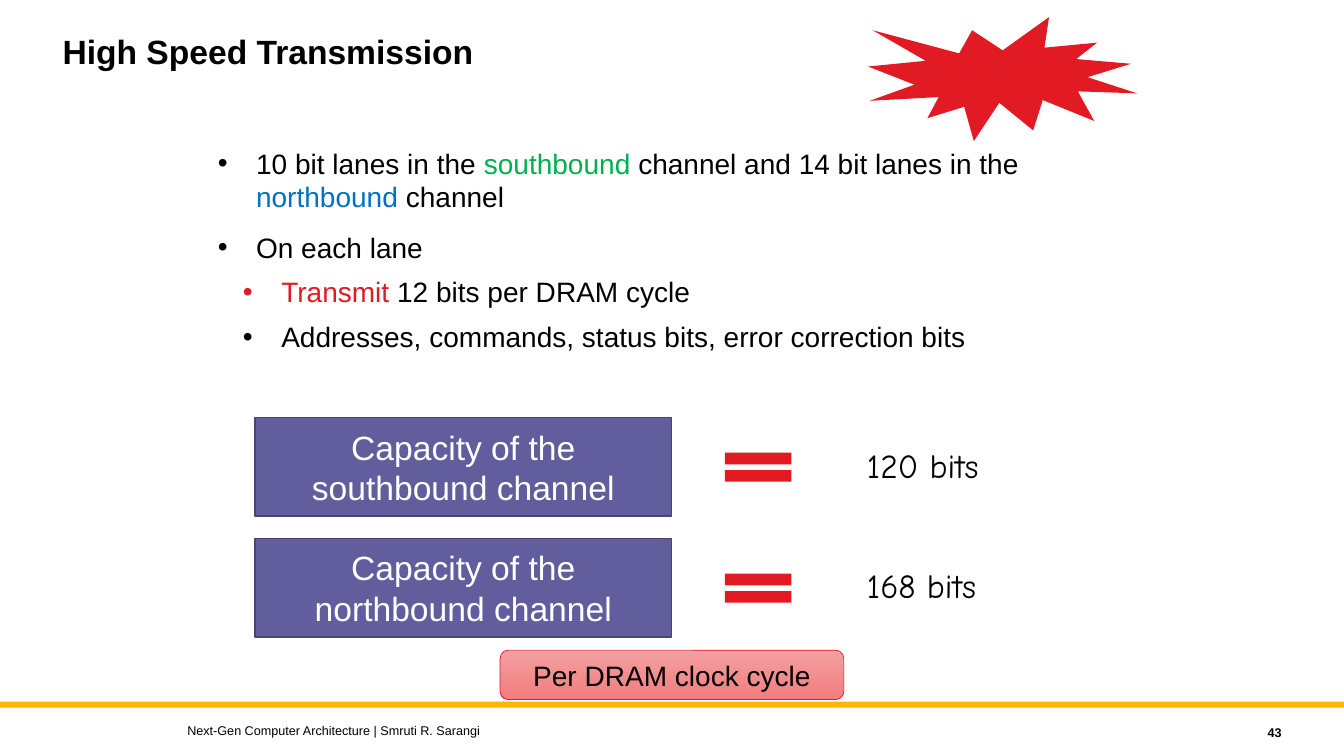
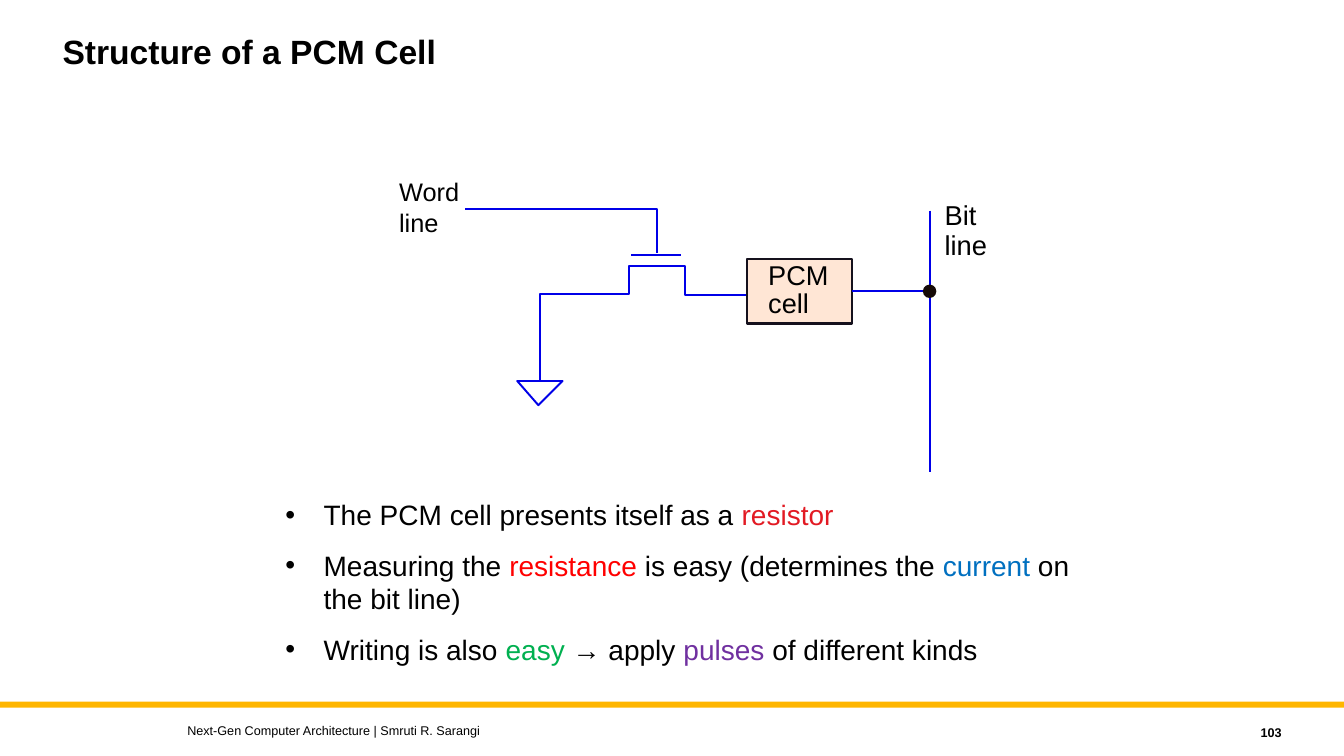
import pptx
import pptx.util
import pptx.dml.color
import pptx.enum.shapes
import pptx.enum.text
from lxml import etree

Inches = pptx.util.Inches
Pt = pptx.util.Pt
RGBColor = pptx.dml.color.RGBColor
SHAPE = pptx.enum.shapes.MSO_SHAPE
ANCHOR = pptx.enum.text.MSO_ANCHOR
ALIGN = pptx.enum.text.PP_ALIGN
AUTO_SIZE = pptx.enum.text.MSO_AUTO_SIZE

BLACK = RGBColor(0x00, 0x00, 0x00)
WHITE = RGBColor(0xFF, 0xFF, 0xFF)
AMBER = RGBColor(0xFF, 0xB6, 0x00)
RED = RGBColor(0xE2, 0x1A, 0x23)
BRIGHT_RED = RGBColor(0xFF, 0x00, 0x00)
GREEN = RGBColor(0x00, 0xB0, 0x50)
BLUE = RGBColor(0x00, 0x70, 0xC0)
PURPLE = RGBColor(0x70, 0x30, 0xA0)
VIOLET = RGBColor(0x62, 0x5D, 0x9C)
VIOLET_EDGE = RGBColor(0x49, 0x45, 0x73)
PINK_TOP = RGBColor(0xF2, 0xA0, 0xA1)
PINK_BOTTOM = RGBColor(0xF2, 0x7D, 0x7E)
WIRE = RGBColor(0x00, 0x00, 0xE8)
PEACH = RGBColor(0xFF, 0xE6, 0xD5)
CELL_EDGE = RGBColor(0x15, 0x11, 0x1D)
DOT = RGBColor(0x15, 0x0A, 0x07)

WIDTH, HEIGHT = 13.33, 7.5
FONT = "Arial"
WIRE_WEIGHT = 1.39
FOOTER = "Next-Gen Computer Architecture | Smruti R. Sarangi"

SPEED_BULLETS = [
    (0, ["10 bit lanes in the ", ("southbound", GREEN),
         " channel and 14 bit lanes in the ", ("northbound", BLUE), " channel"]),
    (0, ["On each lane"]),
    (1, [("Transmit", RED), " 12 bits per DRAM cycle"]),
    (1, ["Addresses, commands, status bits, error correction bits"]),
]
CELL_BULLETS = [
    (0, ["The PCM cell presents itself as a ", ("resistor", RED)]),
    (0, ["Measuring the ", ("resistance", BRIGHT_RED),
         " is easy (determines the ", ("current", BLUE), " on the bit line)"]),
    (0, ["Writing is also ", ("easy ", GREEN), "→ apply ",
         ("pulses", PURPLE), " of different kinds"]),
]
CAPACITIES = [
    ("Capacity of the southbound channel", "120 bits"),
    ("Capacity of the northbound channel", "168 bits"),
]
WIRE_PATHS = [
    ([(5.36, 3.77), (5.36, 2.92), (6.24, 2.92), (6.24, 2.64),
      (6.79, 2.64), (6.79, 2.93), (7.41, 2.93)], False),
    ([(6.52, 2.51), (6.52, 2.07), (4.61, 2.07)], False),
    ([(5.13, 3.78), (5.58, 3.78), (5.34, 4.02)], True),
]
GATE_LINE = (6.26, 2.53, 6.75, 2.53)
BIT_LINE = (9.22, 2.09, 9.22, 4.68)
CELL = (7.41, 2.57, 1.04, 0.64)
CELL_LINES = ["PCM", "cell"]
LABELS = [
    (["Word", "line"], 3.86, 1.7, 0.31, 18.1),
    (["Bit", "line"], 9.27, 1.92, 0.29, 19.5),
]


def inches(*values):
    return [Inches(value) for value in values]


def set_font(para, size, color=BLACK, bold=False, name=FONT):
    para.font.name = name
    para.font.size = Pt(size)
    para.font.bold = bold
    para.font.color.rgb = color


def set_line(shape, color, weight):
    shape.line.color.rgb = color
    shape.line.width = Pt(weight)


def add_box(page, kind, place, fill, edge=None, weight=1):
    box = page.shapes.add_shape(kind, *inches(*place))
    box.shadow.inherit = False
    if fill:
        box.fill.solid()
        box.fill.fore_color.rgb = fill
    if edge:
        set_line(box, edge, weight)
    else:
        box.line.fill.background()
    return box


def fill_box(box, text, size, color):
    frame = box.text_frame
    frame.word_wrap = True
    frame.vertical_anchor = ANCHOR.MIDDLE
    para = frame.paragraphs[0]
    para.text = text
    para.alignment = ALIGN.CENTER
    set_font(para, size, color)


def fill_cell(cell):
    frame = cell.text_frame
    frame.word_wrap = True
    frame.vertical_anchor = ANCHOR.MIDDLE
    frame.margin_left = Inches(0.21)
    frame.margin_right = frame.margin_top = frame.margin_bottom = 0
    for row, text in enumerate(CELL_LINES):
        para = frame.add_paragraph() if row else frame.paragraphs[0]
        para.text = text
        para.alignment = ALIGN.LEFT
        para.line_spacing = 0.85
        set_font(para, 19.4)


def add_label(page, text, place, size, name=FONT):
    frame = page.shapes.add_textbox(*inches(*place)).text_frame
    frame.word_wrap = False
    frame.auto_size = AUTO_SIZE.SHAPE_TO_FIT_TEXT
    frame.paragraphs[0].text = text
    set_font(frame.paragraphs[0], size, name=name)


def add_footer_text(page, text, place, align, bold):
    frame = page.shapes.add_textbox(*inches(*place)).text_frame
    frame.word_wrap = True
    frame.vertical_anchor = ANCHOR.MIDDLE
    para = frame.paragraphs[0]
    para.text = text
    para.alignment = align
    set_font(para, 9, bold=bold)


def place_frame(holder, place):
    holder.left, holder.top, holder.width, holder.height = inches(*place)
    frame = holder.text_frame
    frame.auto_size = AUTO_SIZE.NONE
    frame.vertical_anchor = ANCHOR.TOP
    return frame


def set_bullet(para, level):
    para.level = level
    props = para._p.get_or_add_pPr()
    props.set("marL", str(Inches(0.38 + 0.25 * level)))
    props.set("indent", str(Inches(-0.38)))
    bullet = etree.SubElement(props, pptx.oxml.ns.qn("a:buChar"))
    bullet.set("char", "•")


def fill_body(page, place, bullets):
    frame = place_frame(page.placeholders[1], place)
    for index, (level, spans) in enumerate(bullets):
        para = frame.add_paragraph() if index else frame.paragraphs[0]
        set_bullet(para, level)
        para.space_before = Pt((8 if level else 12) if index else 0)
        set_font(para, 20)
        for part in spans:
            text, color = part if isinstance(part, tuple) else (part, BLACK)
            span = para.add_run()
            span.text = text
            span.font.color.rgb = color


def add_page(deck, title, number):
    page = deck.slides.add_slide(deck.slide_layouts[1])
    para = place_frame(page.shapes.title, (0.52, 0.3, 10, 0.9)).paragraphs[0]
    para.text = title
    para.alignment = ALIGN.LEFT
    para.line_spacing = 0.9
    set_font(para, 24, bold=True)
    add_footer_text(page, FOOTER, (1.76, 7.12, 8, 0.25), ALIGN.LEFT, False)
    add_footer_text(page, str(number), (11.41, 7.14, 1.4, 0.25), ALIGN.RIGHT, True)
    return page


def move_band_to_master(deck, page):
    band = add_box(page, SHAPE.RECTANGLE, (0, 6.96, WIDTH, 0.06), AMBER)
    deck.slide_master.element.cSld.spTree.append(band.element)


def add_wire(page, ends):
    wire = page.shapes.add_connector(
        pptx.enum.shapes.MSO_CONNECTOR.STRAIGHT, *inches(*ends))
    set_line(wire, WIRE, WIRE_WEIGHT)
    etree.SubElement(wire.element.spPr, pptx.oxml.ns.qn("a:effectLst"))
    return wire


def add_wire_path(page, points, closed):
    points = [inches(*point) for point in points]
    builder = page.shapes.build_freeform(*points[0])
    builder.add_line_segments(points[1:], close=closed)
    outline = builder.convert_to_shape()
    outline.shadow.inherit = False
    outline.fill.background()
    set_line(outline, WIRE, WIRE_WEIGHT)


def build_speed_page(deck):
    page = add_page(deck, "High Speed Transmission", 43)
    move_band_to_master(deck, page)
    fill_body(page, (2.06, 1.4, 8.84, 2.43), SPEED_BULLETS)
    for row, (name, amount) in enumerate(CAPACITIES):
        top = 4.14 + 1.2 * row
        box = add_box(page, SHAPE.RECTANGLE, (2.53, top, 4.13, 0.98),
                      VIOLET, VIOLET_EDGE)
        fill_box(box, name, 24, WHITE)
        add_box(page, SHAPE.MATH_EQUAL, (7.07, top + 0.25, 0.9, 0.49), RED)
        add_label(page, amount, (8.5, top + 0.22, 1.48, 0.5), 24, "Comic Neue")
    cycle = add_box(page, SHAPE.ROUNDED_RECTANGLE, (4.96, 6.45, 3.41, 0.49),
                    None, RED, 0.5)
    cycle.fill.gradient()
    cycle.fill.gradient_angle = 270
    for stop, color in zip(cycle.fill.gradient_stops, (PINK_TOP, PINK_BOTTOM)):
        stop.color.rgb = color
    fill_box(cycle, "Per DRAM clock cycle", 20, BLACK)
    add_box(page, SHAPE.EXPLOSION1, (8.61, 0.17, 2.67, 1.23), RED)


def build_cell_page(deck):
    page = add_page(deck, "Structure of a PCM Cell", 103)
    fill_body(page, (2.73, 4.89, 8.37, 1.51), CELL_BULLETS)
    for points, closed in WIRE_PATHS:
        add_wire_path(page, points, closed)
    add_wire(page, GATE_LINE)
    add_wire(page, BIT_LINE)
    cell = add_box(page, SHAPE.RECTANGLE, CELL, PEACH, CELL_EDGE, 1.81)
    fill_cell(cell)
    left, top, width, height = CELL
    middle = top + height / 2
    cell_line = (left + width, middle, BIT_LINE[0], middle)
    add_wire(page, cell_line).begin_connect(cell, 3)
    add_box(page, SHAPE.OVAL, (9.16, middle - 0.06, 0.12, 0.12), DOT, DOT, 0.94)
    for lines, left, top, step, size in LABELS:
        for row, text in enumerate(lines):
            width = 0.2 + 0.2 * len(text) if row == 0 else 0.62
            add_label(page, text, (left, top + step * row, width, 0.42), size)


def main():
    deck = pptx.Presentation()
    deck.slide_width, deck.slide_height = inches(WIDTH, HEIGHT)
    build_speed_page(deck)
    build_cell_page(deck)
    deck.save("out.pptx")


if __name__ == "__main__":
    main()
